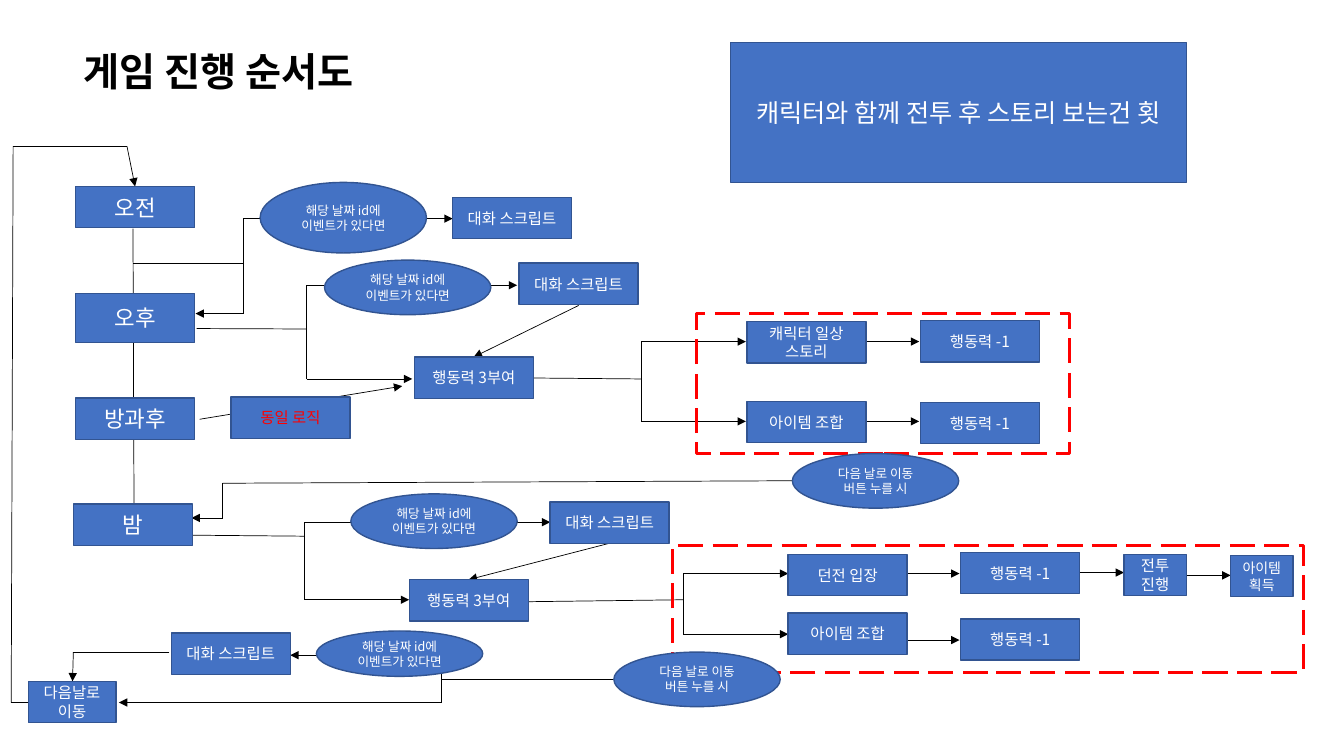
from dataclasses import dataclass
from functools import partial
from itertools import pairwise

from lxml.etree import SubElement
from pptx import Presentation
from pptx.dml.color import RGBColor
from pptx.enum.dml import MSO_LINE
from pptx.enum.shapes import MSO_CONNECTOR, MSO_SHAPE
from pptx.enum.text import MSO_ANCHOR, MSO_AUTO_SIZE, PP_ALIGN
from pptx.oxml.ns import qn
from pptx.shapes.autoshape import Shape
from pptx.slide import Slide
from pptx.text.text import TextFrame
from pptx.util import Pt

BLUE, EDGE, RED = "4472C4", "325491", "FF0000"
BLACK, WHITE = "000000", "FFFFFF"
SANS = "Noto Sans CJK KR"


@dataclass(frozen=True)
class Node:
    text: str
    x: float
    y: float
    w: float = 85
    h: float = 29.5
    size: float = 11
    ink: str = WHITE
    form: MSO_SHAPE = MSO_SHAPE.RECTANGLE


@dataclass(frozen=True)
class Route:
    """A chain of straight lines; head and tail put arrows at its ends."""
    stops: tuple[tuple[float, float], ...]
    head: bool = False
    tail: bool = False


@dataclass(frozen=True)
class Frame:
    x: float
    y: float
    w: float
    h: float


def line(*stops: tuple[float, float]) -> Route:
    return Route(stops)


def arrow(*stops: tuple[float, float]) -> Route:
    return Route(stops, tail=True)


def fork(x: float, top: tuple[float, float], low: tuple[float, float]) -> Route:
    """Two arrows that leave a shared upright at x."""
    return Route((top, (x, top[1]), (x, low[1]), low), head=True, tail=True)


Stage = partial(Node, size=16)
Oval = partial(Node, w=118.8, h=39, size=9, form=MSO_SHAPE.OVAL)
Event = partial(Oval, "해당 날짜 id에 이벤트가 있다면")
Next = partial(Oval, "다음 날로 이동 버튼 누를 시")
Script = partial(Node, "대화 스크립트")
Grant = partial(Node, "행동력 3부여")
Craft = partial(Node, "아이템 조합")
Spend = partial(Node, "행동력 -1")

NODES = [
    Node("캐릭터와 함께 전투 후 스토리 보는건 횟", 522, 30.2, 325.4, 100, 18),
    Stage("오전", 54, 133.2),
    Stage("오후", 54, 209.5, h=35.3),
    Stage("방과후", 54, 284.4),
    Stage("밤", 52.6, 360),
    Event(185.8, 130.3, h=50.4),
    Script(323.3, 141),
    Event(231.8, 185.8),
    Script(370.8, 188),
    Grant(296, 255),
    Node("동일 로직", 165, 283.7, ink=RED),
    Node("캐릭터 일상 스토리", 533.5, 229.7),
    Spend(657.4, 229),
    Craft(533.5, 286.6),
    Spend(657.4, 287.3),
    Next(566, 324),
    Event(250.6, 352.8),
    Script(393, 358.6),
    Grant(292.3, 414),
    Node("던전 입장", 563, 396),
    Spend(686.2, 394.6),
    Node("전투 진행", 802.8, 396, 44.6),
    Node("아이템 획득", 879, 396.7, 44.6, size=10),
    Craft(563, 437.8),
    Spend(686.2, 442),
    Next(438.5, 465.8),
    Event(226, 450.7, h=32.4),
    Script(122.4, 452.2),
    Node("다음날로\n이동", 20.2, 486.7, 62.6),
]

ROUTES = [
    line((95, 163.4), (95.8, 377.3)),
    line((95, 188), (173.5, 188)),
    fork(173.5, (323.3, 156.2), (139.7, 224)),
    line((140.4, 234.7), (219, 235)),
    fork(219, (369.4, 203.8), (294.5, 270.7)),
    arrow((413.3, 218.2), (338.4, 255)),
    arrow((142.6, 299.5), (287.3, 275.8)),
    line((381, 270), (458, 270.7)),
    fork(458, (532.8, 244), (532.8, 301)),
    arrow((618.5, 244), (656.6, 244)),
    arrow((618.5, 301), (656.6, 301)),
    arrow((566, 343.4), (159, 345.2), (159, 370), (136.8, 370)),
    line((137.5, 382.3), (217.4, 383)),
    fork(217.4, (393, 373), (292.3, 428.4)),
    arrow((435.6, 388), (334.8, 414)),
    line((377.3, 429.8), (488.2, 428.4)),
    fork(488.2, (563, 409.7), (563, 453)),
    arrow((647.3, 409.7), (685.4, 409.7)),
    arrow((647.3, 457.2), (685.4, 457.2)),
    arrow((771.8, 409), (802.8, 409)),
    arrow((847.4, 411), (879, 411)),
    fork(315.4, (207.4, 468), (85, 501.8)),
    line((315.4, 485.3), (438.5, 485.3)),
    arrow((121, 465.8), (52.4, 465.8), (51.8, 486.7)),
    arrow((20.2, 501.8), (8, 501.8), (9.4, 104.4), (90.7, 104.4), (96.5, 133.2)),
]

FRAMES = [Frame(497.5, 224, 266.4, 100), Frame(480.2, 389.5, 450.7, 90.7)]


def color(code: str) -> RGBColor:
    return RGBColor.from_string(code)


def style(body: TextFrame, face: str, size: float, ink: str, bold: bool = False) -> None:
    for para in body.paragraphs:
        for run in para.runs:
            font = run.font
            font.size, font.bold, font.name = Pt(size), bold, face
            font.color.rgb = color(ink)
            SubElement(font._element, qn("a:ea"), typeface=SANS)


def add_shape(slide: Slide, form: MSO_SHAPE, part: Node | Frame) -> Shape:
    shape = slide.shapes.add_shape(form, Pt(part.x), Pt(part.y), Pt(part.w), Pt(part.h))
    shape.shadow.inherit = False
    return shape


def add_node(slide: Slide, node: Node) -> None:
    shape = add_shape(slide, node.form, node)
    shape.fill.solid()
    shape.fill.fore_color.rgb = color(BLUE)
    shape.line.color.rgb = color(EDGE)
    shape.line.width = Pt(1)
    body = shape.text_frame
    body.text = node.text
    body.word_wrap = True
    body.vertical_anchor = MSO_ANCHOR.MIDDLE
    for para in body.paragraphs:
        para.alignment = PP_ALIGN.CENTER
    style(body, SANS, node.size, node.ink)


def add_frame(slide: Slide, frame: Frame) -> None:
    shape = add_shape(slide, MSO_SHAPE.RECTANGLE, frame)
    shape.fill.background()
    shape.line.color.rgb = color(RED)
    shape.line.width = Pt(2.25)
    shape.line.dash_style = MSO_LINE.LONG_DASH


def add_route(slide: Slide, route: Route) -> None:
    legs = list(pairwise(route.stops))
    for spot, (start, end) in enumerate(legs):
        link = slide.shapes.add_connector(
            MSO_CONNECTOR.STRAIGHT, *(Pt(value) for value in start + end))
        link.line.color.rgb = color(BLACK)
        link.line.width = Pt(0.5)
        edge = link.line._get_or_add_ln()
        if route.head and spot == 0:
            SubElement(edge, qn("a:headEnd"), type="triangle")
        if route.tail and spot == len(legs) - 1:
            SubElement(edge, qn("a:tailEnd"), type="triangle")
        SubElement(link._element.spPr, qn("a:effectLst"))


def add_title(slide: Slide) -> None:
    box = slide.shapes.add_textbox(Pt(52.6), Pt(30.2), Pt(270.7), Pt(41))
    body = box.text_frame
    body.text = "게임 진행 순서도"
    body.word_wrap = True
    body.auto_size = MSO_AUTO_SIZE.SHAPE_TO_FIT_TEXT
    style(body, "Lato", 28, BLACK, bold=True)


def main() -> None:
    deck = Presentation()
    deck.slide_width, deck.slide_height = Pt(960), Pt(540)
    slide = deck.slides.add_slide(deck.slide_layouts[6])
    add_title(slide)
    for route in ROUTES:
        add_route(slide, route)
    for frame in FRAMES:
        add_frame(slide, frame)
    for node in NODES:
        add_node(slide, node)
    deck.save("out.pptx")


if __name__ == "__main__":
    main()
